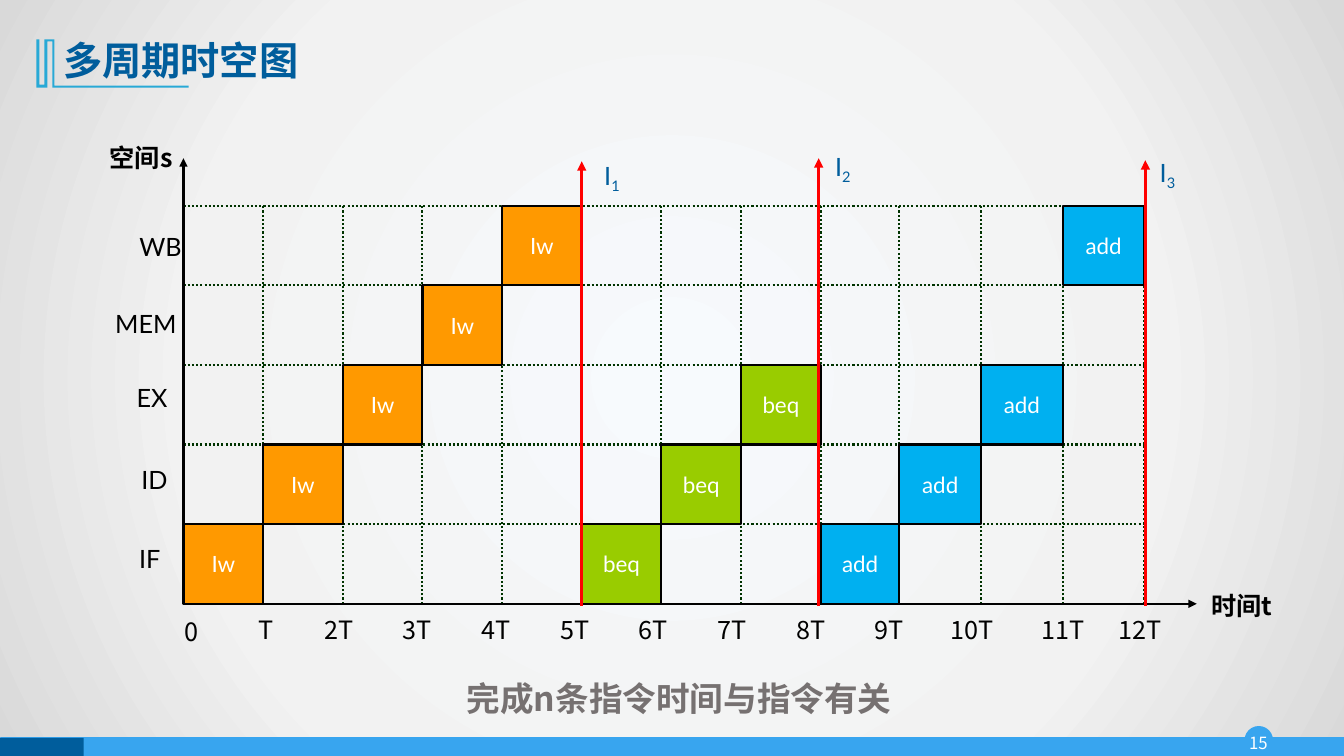
from lxml import etree
from pptx import Presentation
from pptx.dml.color import RGBColor
from pptx.enum.dml import MSO_LINE
from pptx.enum.shapes import MSO_CONNECTOR, MSO_SHAPE
from pptx.enum.text import MSO_ANCHOR, PP_ALIGN
from pptx.oxml import parse_xml
from pptx.oxml.ns import nsdecls, qn
from pptx.util import Inches, Pt

STRAIGHT = MSO_CONNECTOR.STRAIGHT
RECT, OVAL = MSO_SHAPE.RECTANGLE, MSO_SHAPE.OVAL
DOTTED = MSO_LINE.ROUND_DOT
LEFT, CENTER, RIGHT = PP_ALIGN.LEFT, PP_ALIGN.CENTER, PP_ALIGN.RIGHT
TOP, MIDDLE = MSO_ANCHOR.TOP, MSO_ANCHOR.MIDDLE

NAVY = RGBColor(0x00, 0x5D, 0x9C)
SKY = RGBColor(0x38, 0xA5, 0xEF)
TEAL = RGBColor(0x28, 0xA9, 0xD6)
ORANGE = RGBColor(0xFF, 0x99, 0x00)
GREEN = RGBColor(0x99, 0xCC, 0x00)
BLUE = RGBColor(0x00, 0xB0, 0xF0)
GRID = RGBColor(0x00, 0x33, 0x00)
RED = RGBColor(0xFF, 0x00, 0x00)
GRAY = RGBColor(0x76, 0x71, 0x71)
BLACK = RGBColor(0x00, 0x00, 0x00)
WHITE = RGBColor(0xFF, 0xFF, 0xFF)

LATO, MONTSERRAT, NOTO = "Lato", "Montserrat", "Noto Sans CJK SC"

STEP, LATE_STEP = 0.79, 0.81
ORIGIN_X, ORIGIN_Y = 1.82, 5.99
CYCLE_EDGES = [ORIGIN_X + STEP * n for n in range(9)]
CYCLE_EDGES += [8.92 + LATE_STEP * n for n in range(4)]
STAGE_EDGES = [ORIGIN_Y - STEP * n for n in range(6)]

# instruction, colour, first cycle, stages used in turn
PROGRAM = [
    ("Iw", ORANGE, 0, [0, 1, 2, 3, 4]),
    ("beq", GREEN, 5, [0, 1, 2]),
    ("add", BLUE, 8, [0, 1, 2, 4]),
]
# stage name, right edge, top
STAGES = [("IF", 1.69, 5.34), ("ID", 1.76, 4.56), ("EX", 1.76, 3.74),
          ("MEM", 1.85, 3.01), ("WB", 1.9, 2.25)]
# finish line x, arrow tip y, label left, label top
FINISHES = [(5.77, 1.6, 5.59, 1.54), (8.12, 1.57, 7.88, 1.45),
            (11.36, 1.59, 11.1, 1.51)]
TICK_CENTERS = [1.9, 2.64] + [3.36 + 0.78 * n for n in range(8)]
TICK_CENTERS += [9.64, 10.54, 11.31]
TITLE_MARK = [(0.54, 0.39), (0.54, 0.85), (1.87, 0.85), (1.87, 0.87),
              (0.52, 0.87), (0.52, 0.41), (0.47, 0.41), (0.47, 0.87),
              (0.36, 0.87), (0.36, 0.39), (0.39, 0.39), (0.39, 0.84),
              (0.44, 0.84), (0.44, 0.39)]


class Canvas:
    def __init__(self, slide):
        self.slide = slide
        self.shapes = slide.shapes

    def background(self, stops):
        """Fill the slide with a gradient that spreads from its centre."""
        marks = "".join(f'<a:gs pos="{percent * 1000}"><a:srgbClr val="{color}"/></a:gs>'
                        for percent, color in stops)
        fill = parse_xml(
            f'<p:bg {nsdecls("p", "a")}><p:bgPr><a:gradFill rotWithShape="1">'
            f'<a:gsLst>{marks}</a:gsLst><a:path path="circle">'
            '<a:fillToRect l="50000" t="50000" r="50000" b="50000"/></a:path>'
            '</a:gradFill><a:effectLst/></p:bgPr></p:bg>')
        self.slide.element.find(qn("p:cSld")).insert(0, fill)

    def style_run(self, run, size, color, font, bold):
        run.font.size = Pt(size)
        run.font.bold = bold
        run.font.color.rgb = color
        run.font.name = font
        etree.SubElement(run.font._element, qn("a:ea")).set("typeface", NOTO)

    def fill_text(self, frame, content, size=18, color=BLACK, font=LATO, bold=False,
                  align=CENTER, anchor=TOP, spacing=None, subscript=""):
        frame.vertical_anchor = anchor
        paragraph = frame.paragraphs[0]
        paragraph.text = content
        paragraph.alignment = align
        if spacing:
            paragraph.line_spacing = spacing
        if subscript:
            paragraph.add_run().text = subscript
        for run in paragraph.runs:
            self.style_run(run, size, color, font, bold)
        if subscript:
            paragraph.runs[-1].font._element.set("baseline", "-25000")

    def text(self, left, top, width, height, content, inset=None, **style):
        box = self.shapes.add_textbox(Inches(left), Inches(top), Inches(width), Inches(height))
        frame = box.text_frame
        frame.word_wrap = True
        if inset is not None:
            frame.margin_left = frame.margin_right = Inches(inset)
            frame.margin_top = frame.margin_bottom = Inches(inset)
        self.fill_text(frame, content, **style)

    def paint(self, shape, fill, outline=None, weight=1):
        shape.shadow.inherit = False
        shape.fill.solid()
        shape.fill.fore_color.rgb = fill
        if outline is None:
            shape.line.fill.background()
        else:
            shape.line.color.rgb = outline
            shape.line.width = Pt(weight)

    def block(self, kind, left, top, width, height, fill, outline=None, weight=1):
        shape = self.shapes.add_shape(kind, Inches(left), Inches(top),
                                      Inches(width), Inches(height))
        self.paint(shape, fill, outline, weight)
        return shape

    def cell(self, left, top, width, height, content, fill):
        frame = self.block(RECT, left, top, width, height, fill, BLACK, 1.5).text_frame
        frame.word_wrap = False
        self.fill_text(frame, content, size=16, color=WHITE, anchor=MIDDLE)

    def outline(self, points, fill):
        start, *rest = [(Inches(x), Inches(y)) for x, y in points]
        builder = self.shapes.build_freeform(*start)
        builder.add_line_segments(rest, close=True)
        self.paint(builder.convert_to_shape(), fill)

    def line(self, x1, y1, x2, y2, color=BLACK, weight=1.5, dash=None, arrow=False):
        connector = self.shapes.add_connector(STRAIGHT, Inches(x1), Inches(y1),
                                              Inches(x2), Inches(y2))
        connector.line.color.rgb = color
        connector.line.width = Pt(weight)
        if dash:
            connector.line.dash_style = dash
        if arrow:
            outline = connector.line._get_or_add_ln()
            etree.SubElement(outline, qn("a:tailEnd")).set("type", "triangle")
        etree.SubElement(connector._element.spPr, qn("a:effectLst"))


def draw_frame(canvas):
    canvas.background([(0, "F7FAFD"), (63, "F2F2F2"), (100, "D9D9D9")])
    canvas.block(OVAL, 12.35, 7.21, 0.27, 0.27, SKY, SKY)
    canvas.block(RECT, 0.01, 7.32, 13.32, 0.19, SKY, SKY)
    canvas.block(RECT, 0, 7.32, 0.83, 0.19, NAVY)
    canvas.text(12.32, 7.21, 0.32, 0.31, "15", inset=0, size=12, color=WHITE,
                font=NOTO, anchor=MIDDLE)
    canvas.outline(TITLE_MARK, TEAL)
    canvas.text(0.53, 0.28, 11.5, 0.68, "多周期时空图", size=28, color=NAVY,
                font=MONTSERRAT, bold=True, align=LEFT, anchor=MIDDLE, spacing=0.9)


def draw_axes(canvas):
    for x in CYCLE_EDGES[1:]:
        canvas.line(x, ORIGIN_Y, x, STAGE_EDGES[-1], GRID, dash=DOTTED)
    for y in STAGE_EDGES[1:]:
        canvas.line(ORIGIN_X, y, CYCLE_EDGES[-1], y, GRID, dash=DOTTED)
    canvas.line(ORIGIN_X, ORIGIN_Y, 11.87, ORIGIN_Y, arrow=True)
    canvas.line(ORIGIN_X, ORIGIN_Y, ORIGIN_X, 1.57, arrow=True)
    canvas.text(11.7, 5.81, 1.23, 0.4, "时间t", font=NOTO, bold=True)
    canvas.text(0.67, 1.36, 1.14, 0.4, "空间s", font=NOTO, bold=True, align=RIGHT)
    for stage, right, top in STAGES:
        canvas.text(right - 1.16, top, 1.16, 0.4, stage, align=RIGHT)
    for cycle, center in enumerate(TICK_CENTERS):
        tick = {0: "0", 1: "T"}.get(cycle, f"{cycle}T")
        top = 6.05 if cycle else 6.07
        canvas.text(center - 0.4, top, 0.8, 0.4, tick, font=NOTO)


def draw_program(canvas):
    for instruction, color, first_cycle, stages in PROGRAM:
        for cycle, stage in enumerate(stages, first_cycle):
            left, right = CYCLE_EDGES[cycle:cycle + 2]
            canvas.cell(left, STAGE_EDGES[stage + 1], right - left, STEP, instruction, color)
    for number, (x, tip, left, top) in enumerate(FINISHES, 1):
        canvas.line(x, 6.01, x, tip, RED, 2.25, arrow=True)
        canvas.text(left, top, 0.96, 0.4, "I", color=NAVY, subscript=str(number))


def main():
    deck = Presentation()
    deck.slide_width, deck.slide_height = Inches(13.33), Inches(7.5)
    canvas = Canvas(deck.slides.add_slide(deck.slide_layouts[6]))
    draw_frame(canvas)
    draw_axes(canvas)
    draw_program(canvas)
    canvas.text(4.53, 6.6, 5.01, 0.57, "完成n条指令时间与指令有关", size=24, color=GRAY,
                font=NOTO, bold=True, align=LEFT, spacing=1.2)
    deck.save("out.pptx")


if __name__ == "__main__":
    main()
